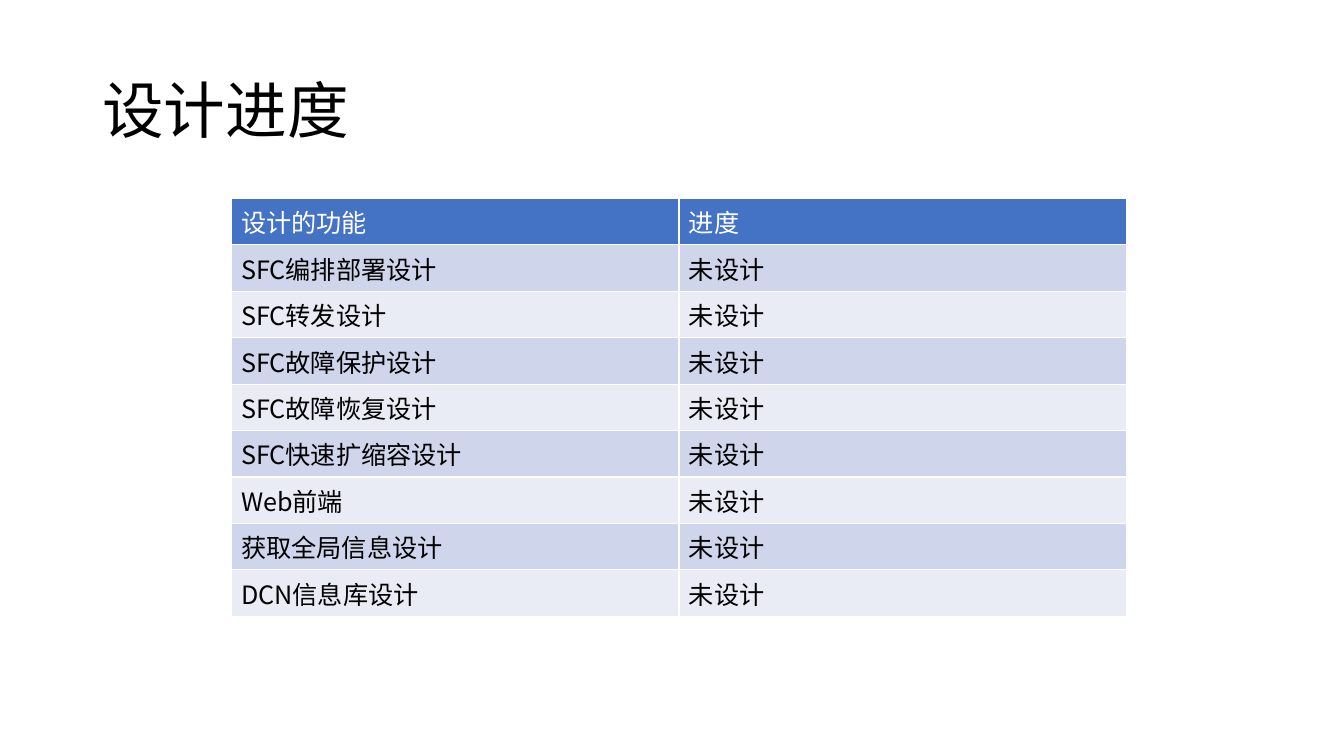
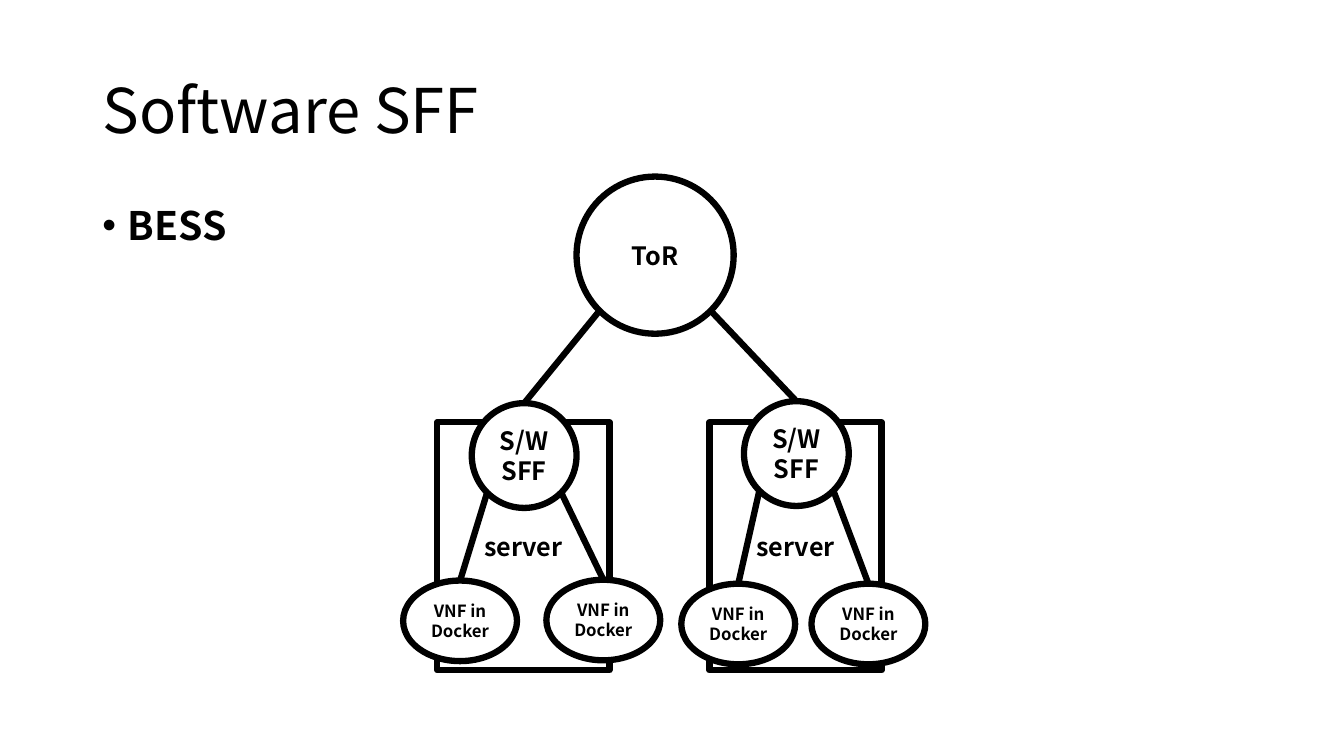
from lxml import etree
from pptx import Presentation
from pptx.dml.color import RGBColor
from pptx.enum import shapes, text
from pptx.oxml.ns import qn
from pptx.util import Cm, Pt

FONT = "Noto Sans CJK SC"
BLACK, WHITE, BLUE = "000000", "FFFFFF", "4472C4"
BANDS = ("CFD5EA", "E9EBF5")
STROKE = 4.5
DIAGONAL = 0.5 ** 0.5

PROGRESS_TITLE = "设计进度"
PROGRESS_HEADER = ("设计的功能", "进度")
PENDING = "未设计"
FEATURES = [
    "SFC编排部署设计",
    "SFC转发设计",
    "SFC故障保护设计",
    "SFC故障恢复设计",
    "SFC快速扩缩容设计",
    "Web前端",
    "获取全局信息设计",
    "DCN信息库设计",
]
TABLE_AT = (5.82, 5)
COLUMN_WIDTH, ROW_HEIGHT = 11.29, 1.17

SFF_TITLE = "Software SFF"
SFF_BULLET = "BESS"
TOR_AT, TOR_SIZE = (14.53, 4.45), (3.96, 3.96)
SERVER_SIZE, SWITCH_SIZE, VNF_SIZE = (4.34, 6.25), (2.64, 2.64), (2.87, 2.03)
SERVERS = [
    {"at": (11.02, 10.64), "switch": (11.89, 10.16), "vnfs": [(10.16, 14.63), (13.77, 14.61)]},
    {"at": (17.88, 10.64), "switch": (18.75, 10.11), "vnfs": [(17.17, 14.71), (20.45, 14.71)]},
]


def color(value):
    return RGBColor.from_string(value)


def style(paragraph, size, fill=BLACK, bold=False):
    for span in paragraph.runs:
        span.font.name = FONT
        span.font.size = Pt(size)
        span.font.bold = bold
        span.font.color.rgb = color(fill)
        latin = span.font._element.find(qn("a:latin"))
        east_asian = etree.Element(qn("a:ea"), typeface=FONT)
        latin.addnext(east_asian)


def add_text(page, words, at, size, points, bold=False, anchor=text.MSO_ANCHOR.TOP, bullet=False):
    box = page.shapes.add_textbox(*map(Cm, at + size))
    frame = box.text_frame
    frame.word_wrap = True
    frame.vertical_anchor = anchor
    frame.text = words
    paragraph = frame.paragraphs[0]
    paragraph.line_spacing = 0.9
    if bullet:
        properties = paragraph._p.get_or_add_pPr()
        properties.set("marL", str(Cm(0.64)))
        properties.set("indent", str(-Cm(0.64)))
        etree.SubElement(properties, qn("a:buFont"), typeface="Arial")
        etree.SubElement(properties, qn("a:buChar"), char="•")
    style(paragraph, points, bold=bold)


def add_page(deck, title):
    page = deck.slides.add_slide(deck.slide_layouts[6])
    add_text(page, title, (2.33, 1.02), (29.21, 3.68), 44, anchor=text.MSO_ANCHOR.MIDDLE)
    return page


def add_node(page, kind, words, at, size, points=18):
    node = page.shapes.add_shape(kind, *map(Cm, at + size))
    node.shadow.inherit = False
    node.fill.solid()
    node.fill.fore_color.rgb = color(WHITE)
    node.line.color.rgb = color(BLACK)
    node.line.width = Pt(STROKE)
    frame = node.text_frame
    frame.word_wrap = True
    frame.vertical_anchor = text.MSO_ANCHOR.MIDDLE
    frame.text = words
    frame.paragraphs[0].alignment = text.PP_ALIGN.CENTER
    style(frame.paragraphs[0], points, bold=True)
    return node


def link(page, parent, child, side):
    start_x = parent.left + int(parent.width / 2 * (1 + side * DIAGONAL))
    start_y = parent.top + int(parent.height / 2 * (1 + DIAGONAL))
    line = page.shapes.add_connector(
        shapes.MSO_CONNECTOR.STRAIGHT, start_x, start_y, child.left + child.width // 2, child.top)
    line.end_connect(child, 0)
    line.line.color.rgb = color(BLACK)
    line.line.width = Pt(STROKE)
    etree.SubElement(line._element.spPr, qn("a:effectLst"))


def build_progress(deck):
    page = add_page(deck, PROGRESS_TITLE)
    rows = [PROGRESS_HEADER] + [(feature, PENDING) for feature in FEATURES]
    columns = len(PROGRESS_HEADER)
    size = (COLUMN_WIDTH * columns, ROW_HEIGHT * len(rows))
    table = page.shapes.add_table(len(rows), columns, *map(Cm, TABLE_AT + size)).table
    for column in table.columns:
        column.width = Cm(COLUMN_WIDTH)
    for index, row in enumerate(rows):
        table.rows[index].height = Cm(ROW_HEIGHT)
        for position, words in enumerate(row):
            cell = table.cell(index, position)
            cell.fill.solid()
            cell.fill.fore_color.rgb = color(BANDS[(index - 1) % 2] if index else BLUE)
            cell.text_frame.text = words
            style(cell.text_frame.paragraphs[0], 18, BLACK if index else WHITE)


def build_software_sff(deck):
    page = add_page(deck, SFF_TITLE)
    add_text(page, SFF_BULLET, (2.33, 5.08), (29.21, 12.09), 28, bold=True, bullet=True)
    oval = shapes.MSO_SHAPE.OVAL
    tor = add_node(page, oval, "ToR", TOR_AT, TOR_SIZE)
    for server, side in zip(SERVERS, (-1, 1)):
        add_node(page, shapes.MSO_SHAPE.RECTANGLE, "server", server["at"], SERVER_SIZE)
        switch = add_node(page, oval, "S/W SFF", server["switch"], SWITCH_SIZE)
        link(page, tor, switch, side)
        for at, vnf_side in zip(server["vnfs"], (-1, 1)):
            vnf = add_node(page, oval, "VNF in Docker", at, VNF_SIZE, 12)
            link(page, switch, vnf, vnf_side)


def main():
    deck = Presentation()
    deck.slide_width, deck.slide_height = Cm(33.87), Cm(19.05)
    build_progress(deck)
    build_software_sff(deck)
    deck.save("out.pptx")


if __name__ == "__main__":
    main()
